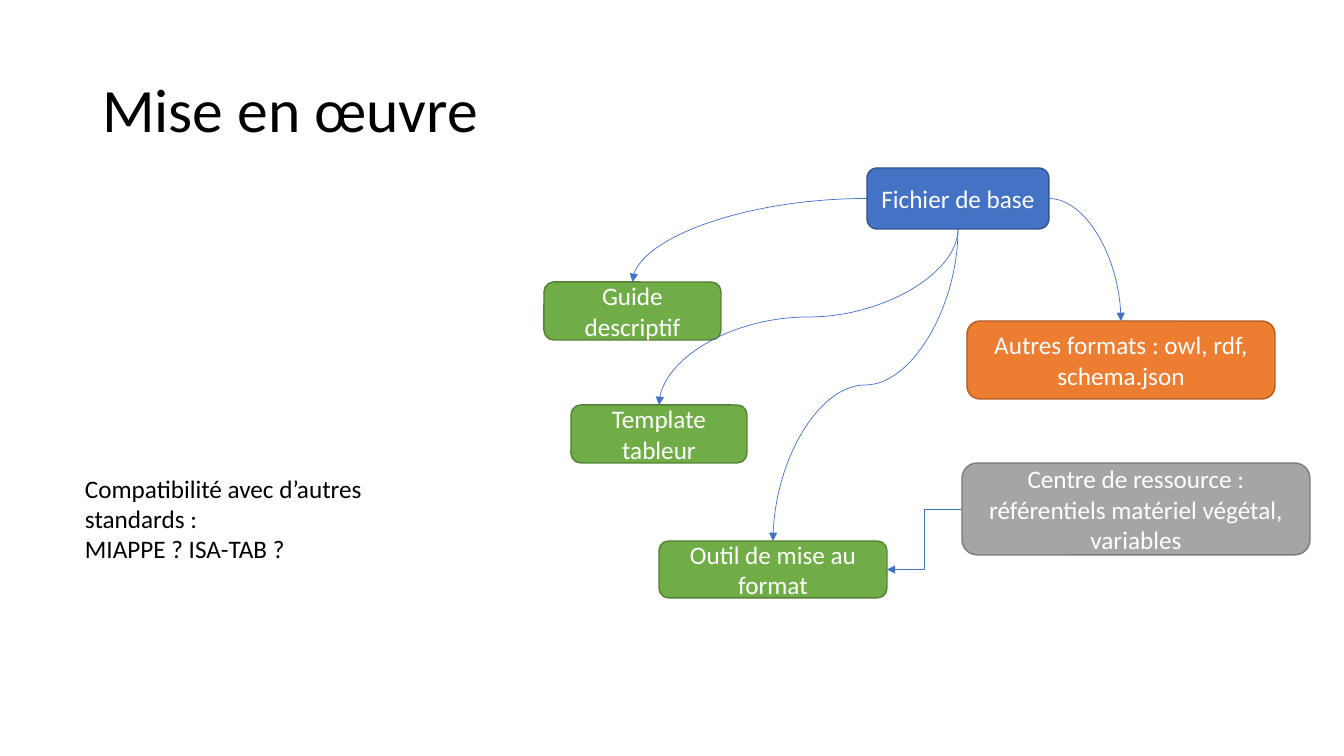
import pptx
import pptx.util
import pptx.dml.color
import pptx.enum.shapes
import pptx.enum.text
import pptx.oxml.ns
import lxml.etree

SCALE = 914400 / 100.8
COLORS = {
    "black": "000000", "white": "FFFFFF",
    "blue": "4472C4", "blue_line": "325491",
    "green": "70AD47", "green_line": "538035",
    "orange": "ED7D31", "orange_line": "AF5C24",
    "gray": "A5A5A5", "gray_line": "7A7A7A",
}
TOP, LEFT, BOTTOM, RIGHT = range(4)
qn = pptx.oxml.ns.qn
ALIGN = pptx.enum.text.PP_ALIGN
ANCHOR = pptx.enum.text.MSO_ANCHOR
CONNECTOR = pptx.enum.shapes.MSO_CONNECTOR


def px(*values):
    return [pptx.util.Emu(round(v * SCALE)) for v in values]


def write(sp, lines, size, color, align, anchor):
    tf = sp.text_frame
    tf.word_wrap = True
    tf.vertical_anchor = anchor
    for i, line in enumerate(lines):
        p = tf.add_paragraph() if i else tf.paragraphs[0]
        p.alignment = align
        r = p.add_run()
        r.text = line
        r.font.name = "Calibri"
        r.font.size = pptx.util.Pt(size)
        r.font.color.rgb = pptx.dml.color.RGBColor.from_string(COLORS[color])


prs = pptx.Presentation()
prs.slide_width, prs.slide_height = px(1344, 756)
s = prs.slides.add_slide(prs.slide_layouts[5])

title = s.shapes.title
title.left, title.top, title.width, title.height = px(92, 40, 1159, 146)
write(title, ["Mise en œuvre"], 44, "black", ALIGN.LEFT, ANCHOR.MIDDLE)
title.text_frame.paragraphs[0].line_spacing = 0.9

note = s.shapes.add_textbox(*px(75, 468, 380, 102))
write(note, ["Compatibilité avec d’autres standards :", "MIAPPE ? ISA-TAB ?"],
      18, "black", ALIGN.LEFT, ANCHOR.TOP)

nodes = {}
for name, box, color, text in [
    ("base", (867, 168, 182, 61), "blue", "Fichier de base"),
    ("guide", (544, 282, 177, 58), "green", "Guide descriptif"),
    ("template", (571, 405, 176, 58), "green", "Template tableur"),
    ("formats", (967, 321, 308, 78), "orange", "Autres formats : owl, rdf, schema.json"),
    ("outil", (659, 541, 228, 57), "green", "Outil de mise au format"),
    ("centre", (962, 463, 348, 92), "gray",
     "Centre de ressource : référentiels matériel végétal, variables"),
]:
    sp = s.shapes.add_shape(pptx.enum.shapes.MSO_SHAPE.ROUNDED_RECTANGLE, *px(*box))
    sp.shadow.inherit = False
    sp.fill.solid()
    sp.fill.fore_color.rgb = pptx.dml.color.RGBColor.from_string(COLORS[color])
    sp.line.color.rgb = pptx.dml.color.RGBColor.from_string(COLORS[color + "_line"])
    sp.line.width = pptx.util.Pt(1)
    write(sp, [text], 18, "white", ALIGN.CENTER, ANCHOR.MIDDLE)
    nodes[name] = sp

for start, start_side, end, end_side, kind, preset in [
    ("base", LEFT, "guide", TOP, CONNECTOR.CURVE, "curvedConnector2"),
    ("base", BOTTOM, "template", TOP, CONNECTOR.CURVE, "curvedConnector3"),
    ("base", RIGHT, "formats", TOP, CONNECTOR.CURVE, "curvedConnector2"),
    ("base", BOTTOM, "outil", TOP, CONNECTOR.CURVE, "curvedConnector3"),
    ("centre", LEFT, "outil", RIGHT, CONNECTOR.ELBOW, "bentConnector3"),
]:
    link = s.shapes.add_connector(kind, 0, 0, 0, 0)
    link.begin_connect(nodes[start], start_side)
    link.end_connect(nodes[end], end_side)
    link.line.color.rgb = pptx.dml.color.RGBColor.from_string(COLORS["blue"])
    link.line.width = pptx.util.Pt(0.5)
    spPr = link._element.spPr
    spPr.find(qn("a:prstGeom")).set("prst", preset)
    lxml.etree.SubElement(spPr.find(qn("a:ln")), qn("a:tailEnd"), type="triangle")
    lxml.etree.SubElement(spPr, qn("a:effectLst"))
    if start_side == BOTTOM:
        w, h = link.width, link.height
        link.left += (w - h) // 2
        link.top += (h - w) // 2
        link.width, link.height = h, w
        xfrm = spPr.find(qn("a:xfrm"))
        xfrm.attrib.pop("flipH", None)
        xfrm.set("rot", "5400000")

prs.save("out.pptx")
